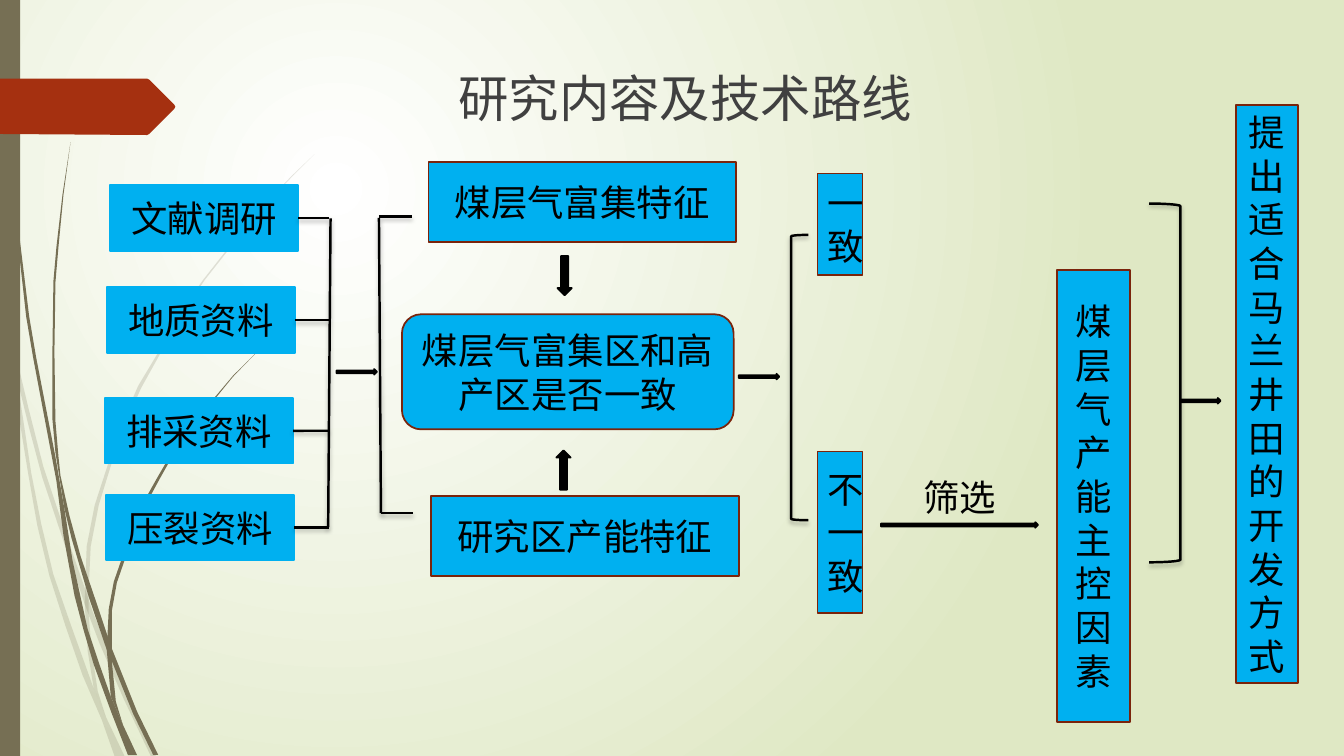
from dataclasses import dataclass

from lxml import etree
from pptx import Presentation
from pptx import util as u
from pptx.dml import color
from pptx.enum import shapes, text
from pptx.oxml import ns

FONT = "Noto Sans CJK SC"
BLACK, BLUE, RUST, OLIVE, RED = "000000", "00B0F0", "7A240C", "766F54", "A53010"
GRID = u.Cm(2.54) / 100  # outline points below are hundredths of an inch
KIND = shapes.MSO_SHAPE

# Each strand runs down one edge of a blade and back up the other
PALE_GRASS = (
    "0 282 0 299 10 344 15 390 28 470 37 521 49 571 65 621 82 670 101 714 114 751 "
    "124 751 105 711 93 683 70 619 53 570 41 520 31 469 17 376 9 322",
    "14 345 17 376 29 425 42 474 58 522 84 599 88 610 99 639 123 694 150 751 "
    "155 751 127 692 92 607 85 586 62 520 43 463 28 404",
    "312 153 289 175 268 197 228 244 202 277 178 311 158 348 137 383 120 422 107 461 94 501 86 542 "
    "84 599 87 646 93 683 105 711 97 686 91 646 88 610 88 584 90 542 98 501 110 462 123 423 "
    "140 385 160 349 180 312 203 278 229 245 268 198 290 175",
)
DARK_GRASS = (
    "3 0 4 48 7 110 12 192 17 233 26 314 33 355 56 477 63 531 74 591 83 625 93 659 111 708 127 749 "
    "136 749 122 719 110 691 98 657 87 624 72 556 64 505 55 453 36 355 29 314 19 232 8 109 5 48 4 0",
    "70 141 62 193 56 245 53 279 52 349 52 416 55 449 64 505 71 534 88 592 106 645 111 656 132 708 152 749 "
    "157 749 136 706 110 641 93 590 80 552 69 512 60 472 58 453 55 418 54 349 55 280 58 245 63 193",
    "260 344 231 373 204 405 186 427 170 450 156 474 142 499 131 524 122 551 113 577 108 604 "
    "106 645 110 691 122 719 115 696 111 656 111 606 116 578 125 552 133 526 145 500 158 476 "
    "172 451 187 428 205 406 231 374",
)
PENNANT = "0 78 146 78 148 79 173 104 174 106 173 108 148 133 146 134 0 133"


@dataclass
class Item:
    left: float
    top: float
    width: float
    height: float
    wording: str = ""
    kind: KIND = KIND.RECTANGLE
    fill: str | None = BLUE
    edge: str | None = RUST
    edge_pt: float = 1.25
    turn: float = 0
    shadow: bool = False


def paint(fill, hex_colour: str | None, alpha: int = 100) -> None:
    if hex_colour is None:
        fill.background()
        return
    fill.solid()
    fill.fore_color.rgb = color.RGBColor.from_string(hex_colour)
    if alpha < 100:
        solid = fill._xPr.find(ns.qn("a:solidFill"))
        etree.SubElement(solid[0], ns.qn("a:alpha"), val=str(alpha * 1000))


def write(frame, wording: str, size: float = 26, colour: str = BLACK, wrap: bool = True) -> None:
    frame.word_wrap = wrap
    frame.vertical_anchor = text.MSO_ANCHOR.MIDDLE
    paragraph = frame.paragraphs[0]
    paragraph.alignment = text.PP_ALIGN.CENTER
    run = paragraph.add_run()
    run.text = wording
    run.font.size = u.Pt(size)
    run.font.name = FONT
    paint(run.font.fill, colour)
    etree.SubElement(run._r.get_or_add_rPr(), ns.qn("a:ea"), typeface=FONT)


def set_shadow(shape, visible: bool) -> None:
    """Replace the theme shadow by a soft one, or by none."""
    effects = etree.SubElement(shape.element.spPr, ns.qn("a:effectLst"))
    if visible:
        shadow = etree.SubElement(effects, ns.qn("a:outerShdw"), blurRad=str(u.Pt(3)),
                                  dist=str(u.Pt(2)), dir="5400000", rotWithShape="0")
        tint = etree.SubElement(shadow, ns.qn("a:srgbClr"), val=BLACK)
        etree.SubElement(tint, ns.qn("a:alpha"), val="25000")


def draw(slide, item: Item):
    box = (u.Cm(v) for v in (item.left, item.top, item.width, item.height))
    shape = slide.shapes.add_shape(item.kind, *box)
    paint(shape.fill, item.fill)
    paint(shape.line.fill, item.edge)
    if item.edge:
        shape.line.width = u.Pt(item.edge_pt)
    set_shadow(shape, item.shadow)
    shape.rotation = item.turn
    if item.wording:
        write(shape.text_frame, item.wording)
    return shape


def draw_line(slide, x1: float, y1: float, x2: float, y2: float):
    line = slide.shapes.add_connector(shapes.MSO_CONNECTOR.STRAIGHT, *map(u.Cm, (x1, y1, x2, y2)))
    paint(line.line.fill, BLACK)
    line.line.width = u.Pt(1.75)
    set_shadow(line, True)
    return line


def draw_outline(slide, numbers: str, colour: str, alpha: int = 100) -> None:
    values = [int(n) * GRID for n in numbers.split()]
    start, *rest = zip(values[::2], values[1::2])
    builder = slide.shapes.build_freeform(*start)
    builder.add_line_segments(rest, close=True)
    shape = builder.convert_to_shape()
    paint(shape.fill, colour, alpha)
    paint(shape.line.fill, None)
    set_shadow(shape, False)


def draw_backdrop(slide) -> None:
    fill = slide.background.fill
    fill.gradient()
    for stop, hex_colour in zip(fill.gradient_stops, ("FFFFFF", "DFE8C4")):
        stop.color.rgb = color.RGBColor.from_string(hex_colour)
    linear = slide.element.find(".//" + ns.qn("a:lin"))
    radial = etree.Element(ns.qn("a:path"), path="circle")
    etree.SubElement(radial, ns.qn("a:fillToRect"), l="50000", t="50000", r="100000", b="100000")
    linear.getparent().replace(linear, radial)
    for strands, alpha in ((PALE_GRASS, 20), (DARK_GRASS, 100)):
        for strand in strands:
            draw_outline(slide, strand, OLIVE, alpha)
    draw(slide, Item(0, 0, 0.51, 19.05, fill=OLIVE, edge=None))
    draw_outline(slide, PENNANT, RED)


def draw_sources(slide) -> None:
    """Four data sources, each joined to one vertical line."""
    spine = 8.3
    for left, top, wording in ((2.77, 4.67, "文献调研"), (2.69, 7.24, "地质资料"),
                               (2.64, 10.03, "排采资料"), (2.67, 12.47, "压裂资料")):
        source = draw(slide, Item(left, top, 4.75, 1.65, wording, edge=BLUE))
        middle = top + 1.65 / 2
        draw_line(slide, left + 4.75, middle, spine, middle).begin_connect(source, 3)
    draw_line(slide, spine + 0.03, 5.5, spine - 0.03, 13.28)


def main() -> None:
    deck = Presentation()
    deck.slide_width, deck.slide_height = u.Cm(33.87), u.Cm(19.05)
    slide = deck.slides.add_slide(deck.slide_layouts[5])
    draw_backdrop(slide)

    title = slide.shapes.title
    title.left, title.top, title.width, title.height = map(u.Cm, (4.88, 1.63, 24.77, 1.63))
    title.text_frame.auto_size = text.MSO_AUTO_SIZE.NONE
    write(title.text_frame, "研究内容及技术路线", size=36, colour="404040")

    draw_sources(slide)
    for ends in ((9.55, 5.49, 9.6, 12.93), (9.55, 5.46, 10.39, 5.46), (9.6, 12.93, 10.41, 12.93)):
        draw_line(slide, *ends)

    for step in (
        Item(10.8, 4.09, 7.75, 2.01, "煤层气富集特征"),
        Item(10.13, 7.92, 8.36, 2.9, "煤层气富集区和高产区是否一致", KIND.ROUNDED_RECTANGLE),
        Item(10.87, 12.5, 7.75, 2.01, "研究区产能特征"),
        Item(20.6, 4.37, 1.14, 2.57, "一致"),
        Item(20.6, 11.38, 1.14, 4.06, "不一致"),
        Item(26.64, 6.81, 1.83, 11.38, "煤层气产能主控因素"),
        Item(31.14, 2.64, 1.57, 14.58, "提出适合马兰井田的开发方式"),
    ):
        draw(slide, step)

    for left, top, width in ((8.48, 9.3, 1.02), (18.62, 9.42, 1.02),
                             (22.2, 13.16, 3.96), (29.74, 10.03, 1.02)):
        draw(slide, Item(left, top, width, 0.14, kind=KIND.RIGHT_ARROW, fill=BLACK, edge=BLACK))
    for left, top, turn in ((14.05, 6.45, 0), (14.02, 11.35, 180)):
        draw(slide, Item(left, top, 0.36, 0.99, kind=KIND.DOWN_ARROW, fill=BLACK, edge=BLACK, turn=turn))
    for kind, box in ((KIND.LEFT_BRACKET, (19.94, 5.92, 0.43, 7.19)),
                      (KIND.RIGHT_BRACKET, (28.96, 5.13, 0.79, 9.04))):
        draw(slide, Item(*box, kind=kind, fill=None, edge=BLACK, edge_pt=1.75, shadow=True))

    screening = slide.shapes.add_textbox(*map(u.Cm, (23.01, 11.84, 2.36, 1.37)))
    screening.text_frame.auto_size = text.MSO_AUTO_SIZE.SHAPE_TO_FIT_TEXT
    write(screening.text_frame, "筛选", wrap=False)

    deck.save("out.pptx")


if __name__ == "__main__":
    main()
